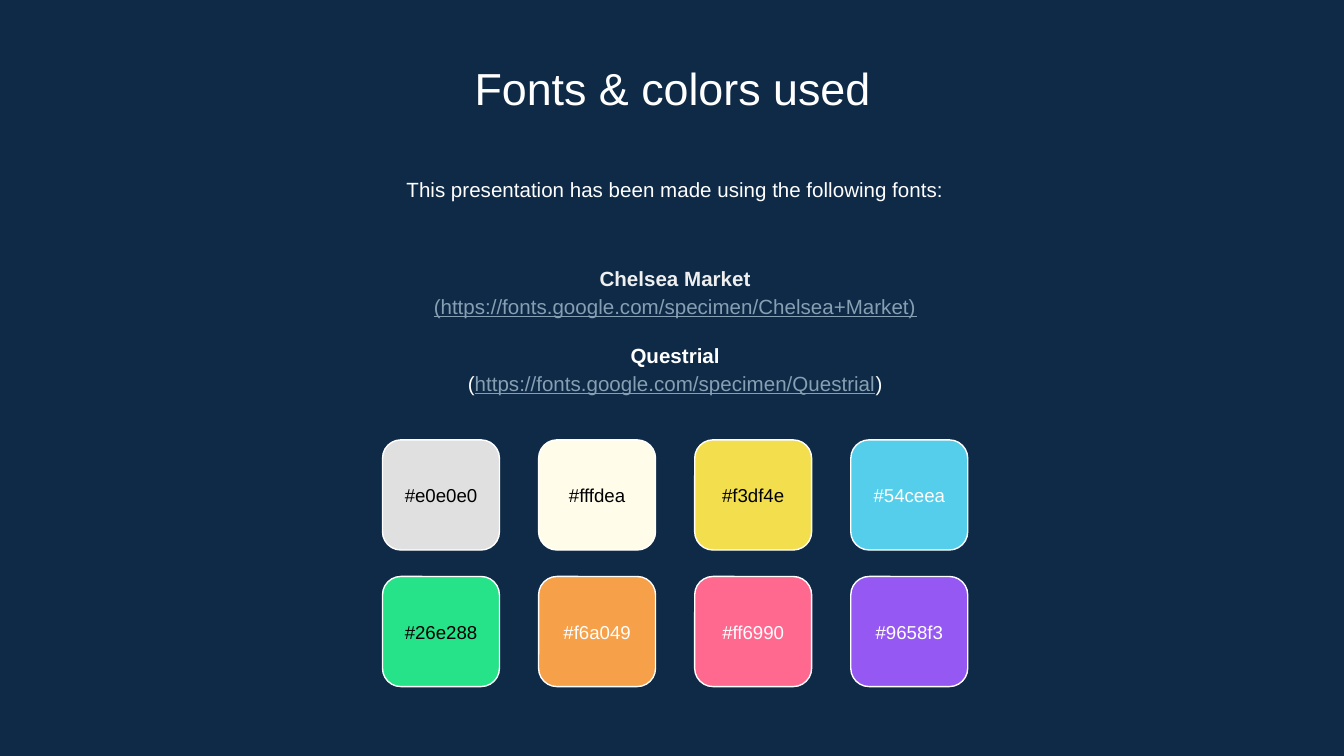
"""Build the slide that lists the fonts and colors used."""
from dataclasses import dataclass
from typing import Any

from lxml.etree import SubElement
from pptx import Presentation
from pptx.dml.color import RGBColor
from pptx.enum.shapes import MSO_SHAPE
from pptx.enum.text import MSO_ANCHOR, MSO_AUTO_SIZE, PP_ALIGN
from pptx.oxml.ns import qn
from pptx.util import Cm, Pt

NAVY = RGBColor(0x0E, 0x2A, 0x47)
WHITE = RGBColor(0xFF, 0xFF, 0xFF)
BLACK = RGBColor(0x00, 0x00, 0x00)
PALE = RGBColor(0xEF, 0xEF, 0xEF)
LINK = RGBColor(0x86, 0x9F, 0xB2)

FRAME = {
    "word_wrap": True,
    "auto_size": MSO_AUTO_SIZE.NONE,
    "margin_left": Cm(0.25),
    "margin_right": Cm(0.25),
    "margin_top": Cm(0.25),
    "margin_bottom": Cm(0.25),
}


@dataclass
class Piece:
    text: str
    color: RGBColor = WHITE
    size: int = 11
    bold: bool = False
    under: bool = False


@dataclass
class Line:
    pieces: list[Piece]
    before: int = 0
    pitch: float = 1.15


@dataclass
class Swatch:
    code: str
    ink: RGBColor


FONTS = [
    Line([Piece("Chelsea Market", PALE, bold=True)]),
    Line([Piece("(https://fonts.google.com/specimen/Chelsea+Market)", LINK, under=True)]),
    Line([Piece("Questrial", bold=True)], before=11),
    Line([
        Piece("("),
        Piece("https://fonts.google.com/specimen/Questrial", LINK, under=True),
        Piece(")"),
    ]),
]

ROWS = [
    [Swatch("#e0e0e0", BLACK), Swatch("#fffdea", BLACK),
     Swatch("#f3df4e", BLACK), Swatch("#54ceea", WHITE)],
    [Swatch("#26e288", BLACK), Swatch("#f6a049", WHITE),
     Swatch("#ff6990", WHITE), Swatch("#9658f3", WHITE)],
]


def apply(target: Any, values: dict[str, Any]) -> None:
    """Set each named value on the target."""
    for name, value in values.items():
        setattr(target, name, value)


def place(shape: Any, left: float, top: float, width: float, height: float) -> None:
    """Move and size a shape, in centimetres."""
    apply(shape, {"left": Cm(left), "top": Cm(top),
                  "width": Cm(width), "height": Cm(height)})


def write(shape: Any, lines: list[Line], anchor: MSO_ANCHOR) -> None:
    """Fill a shape with centred lines of text."""
    frame = shape.text_frame
    apply(frame, FRAME | {"vertical_anchor": anchor})
    for index, line in enumerate(lines):
        para = frame.add_paragraph() if index else frame.paragraphs[0]
        props = para._p.get_or_add_pPr()
        props.set("marL", "0")
        props.set("indent", "0")
        SubElement(props, qn("a:buNone"))
        apply(para, {"alignment": PP_ALIGN.CENTER, "line_spacing": line.pitch,
                     "space_before": Pt(line.before), "space_after": Pt(0)})
        for piece in line.pieces:
            run = para.add_run()
            run.text = piece.text
            apply(run.font, {"name": "Arial", "size": Pt(piece.size),
                             "bold": piece.bold, "underline": piece.under})
            run.font.color.rgb = piece.color


def draw(shapes: Any, swatch: Swatch, left: float, top: float) -> None:
    """Draw one rounded color tile with its code."""
    tile = shapes.add_shape(MSO_SHAPE.ROUNDED_RECTANGLE,
                            Cm(left), Cm(top), Cm(2.21), Cm(2.08))
    tile.shadow.inherit = False
    tile.fill.solid()
    tile.fill.fore_color.rgb = RGBColor.from_string(swatch.code[1:].upper())
    tile.line.color.rgb = WHITE
    tile.line.width = Pt(0.75)
    write(tile, [Line([Piece(swatch.code, swatch.ink, 10)], pitch=1.0)],
          MSO_ANCHOR.MIDDLE)


def main() -> None:
    """Make the deck and save it."""
    deck = Presentation()
    apply(deck, {"slide_width": Cm(25.4), "slide_height": Cm(14.28)})
    slide = deck.slides.add_slide(deck.slide_layouts[1])
    slide.background.fill.solid()
    slide.background.fill.fore_color.rgb = NAVY

    title, body = slide.shapes.title, slide.placeholders[1]
    place(title, 2.92, 0.89, 19.58, 1.35)
    write(title, [Line([Piece("Fonts & colors used", size=24)], pitch=1.0)],
          MSO_ANCHOR.TOP)

    intro = slide.shapes.add_textbox(Cm(2.97), Cm(3.02), Cm(19.58), Cm(1.22))
    write(intro, [Line([Piece("This presentation has been made using the following fonts:")])],
          MSO_ANCHOR.TOP)

    place(body, 2.97, 4.47, 19.58, 3.48)
    write(body, FONTS, MSO_ANCHOR.MIDDLE)

    for row, tiles in enumerate(ROWS):
        for col, swatch in enumerate(tiles):
            draw(slide.shapes, swatch, 7.23 + 2.95 * col, 8.31 + 2.58 * row)

    deck.save("out.pptx")


if __name__ == "__main__":
    main()
